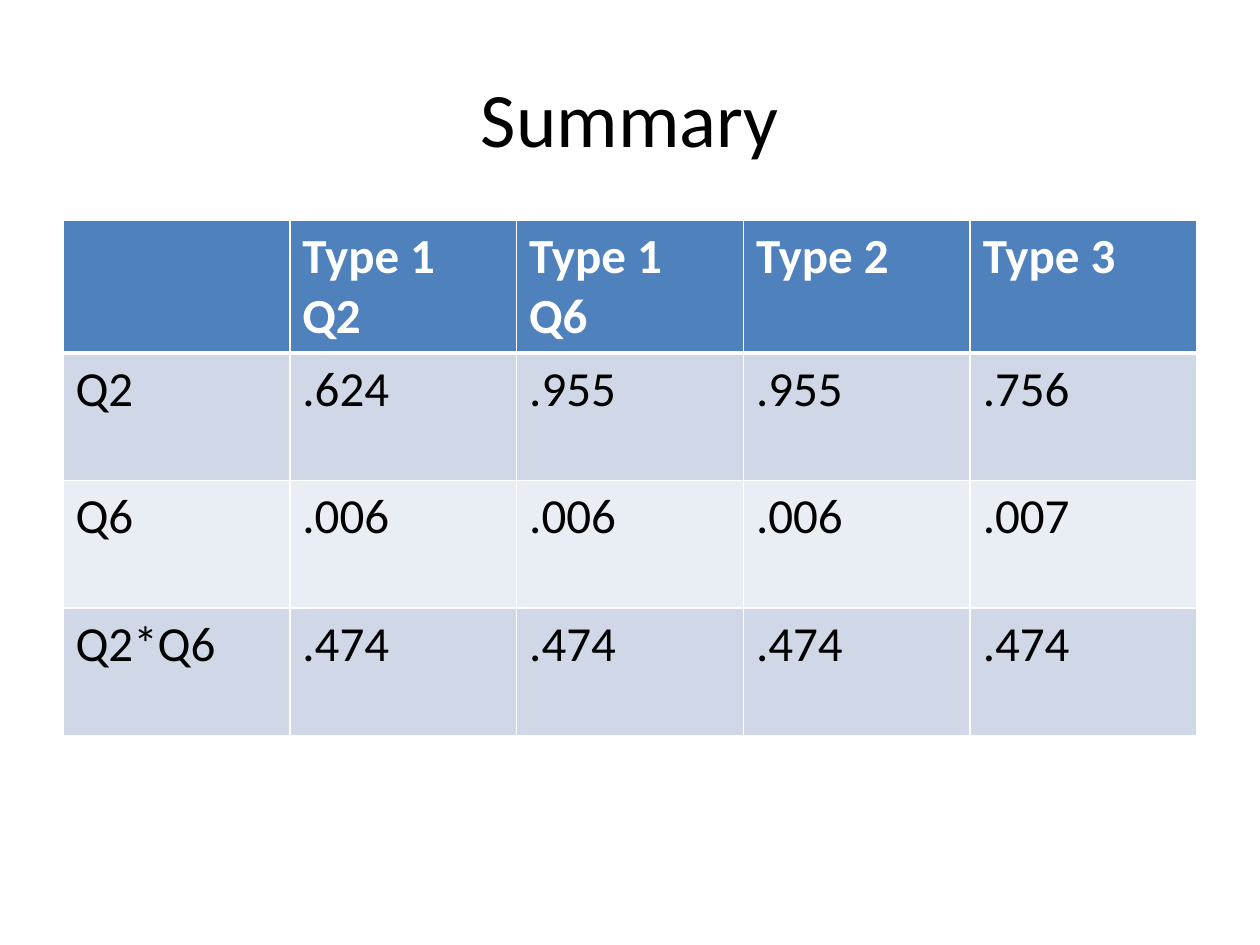
from dataclasses import dataclass

from lxml import etree
from pptx import Presentation
from pptx import util as u
from pptx.dml.color import RGBColor
from pptx.enum import text as t
from pptx.oxml import ns

FONT = "Calibri"
WHITE = "FFFFFF"
BLACK = "000000"


@dataclass
class Row:
    cells: list[str]
    fill: str
    ink: str = BLACK
    bold: bool = False
    top: int = 1
    base: int = 1


ROWS = [
    Row(["", "Type 1\nQ2", "Type 1\nQ6", "Type 2", "Type 3"],
        "4F81BD", WHITE, True, base=3),
    Row(["Q2", ".624", ".955", ".955", ".756"], "D0D8E8", top=3),
    Row(["Q6", ".006", ".006", ".006", ".007"], "E9EDF4"),
    Row(["Q2*Q6", ".474", ".474", ".474", ".474"], "D0D8E8"),
]


def color(code: str) -> RGBColor:
    return RGBColor.from_string(code)


def write(para, words: str, size: int, ink: str, bold: bool = False) -> None:
    run = para.add_run()
    run.text = words
    run.font.name = FONT
    run.font.size = u.Pt(size)
    run.font.bold = bold
    run.font.color.rgb = color(ink)


def edge(cell, side: str, width: int) -> None:
    props = cell._tc.get_or_add_tcPr()
    line = etree.SubElement(props, ns.qn(f"a:ln{side}"), w=str(u.Pt(width)))
    fill = etree.SubElement(line, ns.qn("a:solidFill"))
    etree.SubElement(fill, ns.qn("a:srgbClr"), val=WHITE)


def draw_cell(cell, words: str, row: Row) -> None:
    for side, width in zip("LRTB", (1, 1, row.top, row.base)):
        edge(cell, side, width)
    cell.fill.solid()
    cell.fill.fore_color.rgb = color(row.fill)
    frame = cell.text_frame
    for i, line in enumerate(words.splitlines()):
        para = frame.add_paragraph() if i else frame.paragraphs[0]
        write(para, line, 28, row.ink, row.bold)


def draw_table(slide, rows: list[Row]) -> None:
    count = len(rows[0].cells)
    grid = slide.shapes.add_table(
        len(rows), count, u.Cm(1.27), u.Cm(4.45),
        u.Cm(22.86), u.Cm(2.57 * len(rows))).table
    for r, row in enumerate(rows):
        for c, words in enumerate(row.cells):
            draw_cell(grid.cell(r, c), words, row)


def draw_title(slide, words: str) -> None:
    title = slide.shapes.title
    title.left, title.top = u.Cm(1.27), u.Cm(0.76)
    title.width, title.height = u.Cm(22.86), u.Cm(3.18)
    frame = title.text_frame
    frame.vertical_anchor = t.MSO_ANCHOR.MIDDLE
    para = frame.paragraphs[0]
    para.alignment = t.PP_ALIGN.CENTER
    write(para, words, 44, BLACK)


def main() -> None:
    deck = Presentation()
    deck.slide_width, deck.slide_height = u.Cm(25.4), u.Cm(19.05)
    slide = deck.slides.add_slide(deck.slide_layouts.get_by_name("Title Only"))
    draw_title(slide, "Summary")
    draw_table(slide, ROWS)
    deck.save("out.pptx")


if __name__ == "__main__":
    main()
